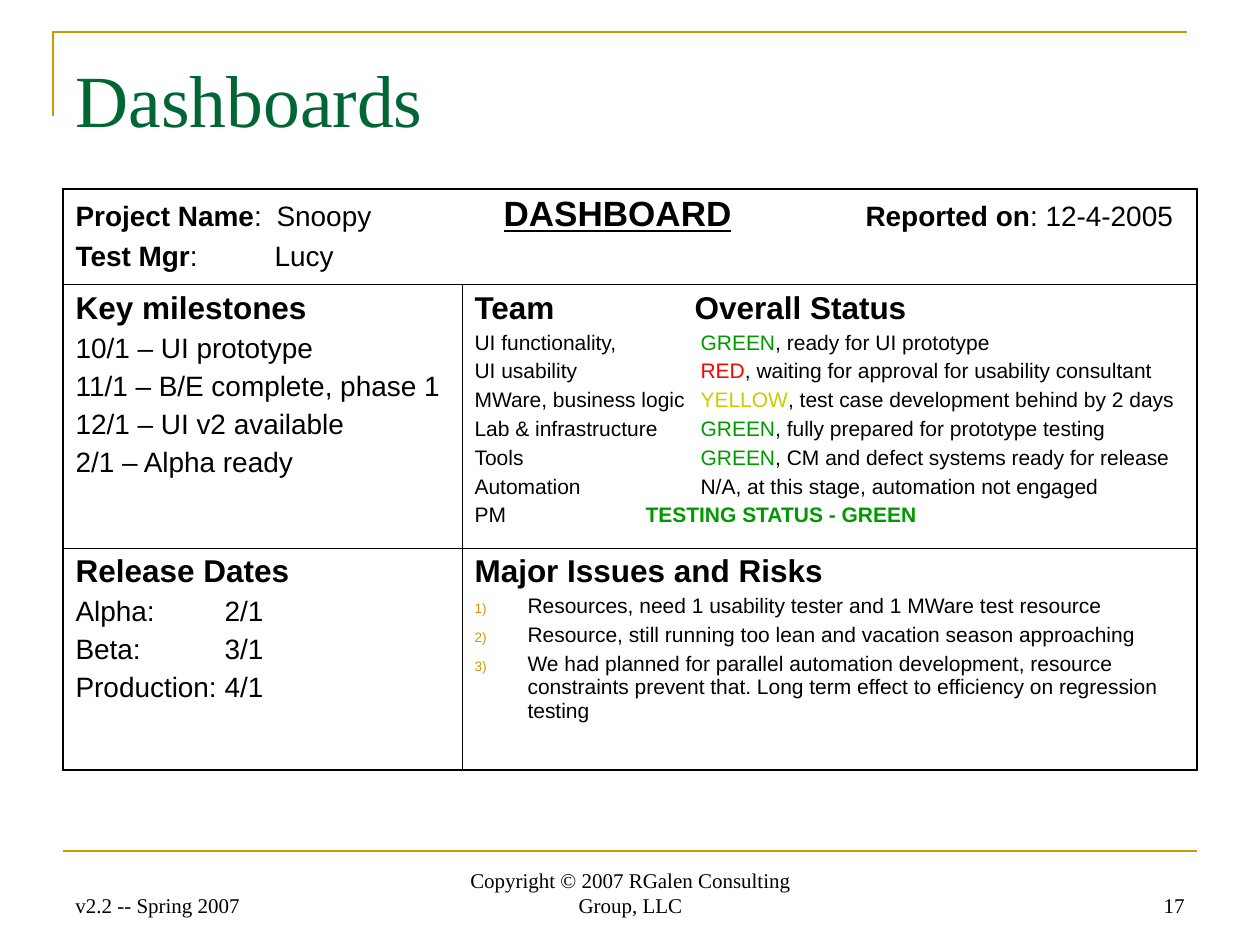
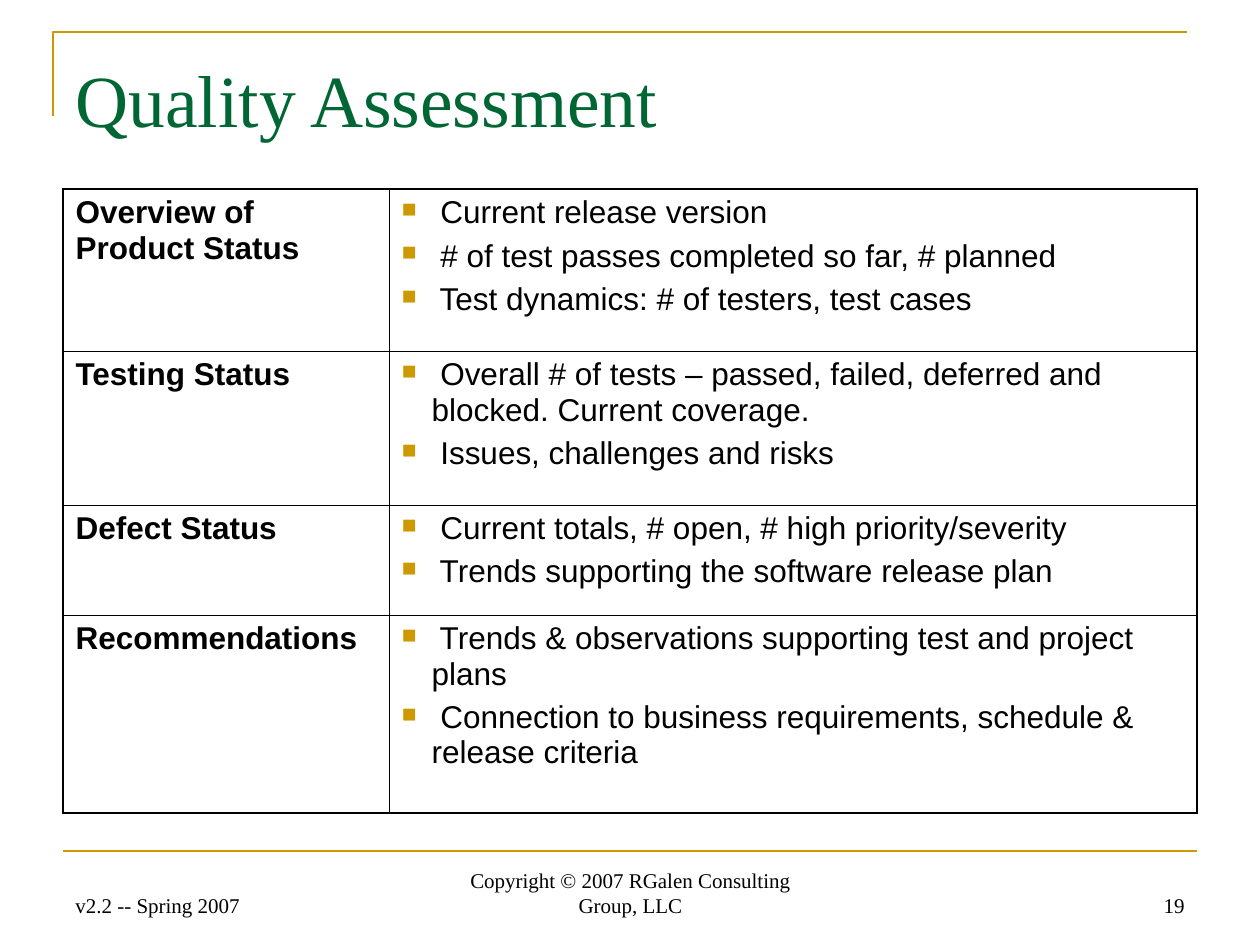
import pptx
import pptx.util
import pptx.dml.color
import pptx.enum.shapes
import pptx.enum.text
import pptx.oxml.ns
import lxml.etree

SCALE = 914400 / 126
HUES = {"gold": "CC9900", "title": "006633", "black": "000000",
        "green": "009900", "red": "FF0000", "yellow": "CCCC00"}
SANS, SERIF = "Arial", "Times New Roman"
ALIGN = pptx.enum.text.PP_ALIGN
ANCHOR = pptx.enum.text.MSO_ANCHOR
THICK, THIN = 1.08, 0.45
SQUARE = ("buChar", {"char": "■"}, 30)
NUMBER = ("buAutoNum", {"type": "arabicParenR"}, 53)
GRID = (63, 189)


def px(*sizes):
    return [pptx.util.Emu(round(size * SCALE)) for size in sizes]


def hue(name):
    return pptx.dml.color.RGBColor.from_string(HUES[name])


def node(parent, tag, **attrs):
    return lxml.etree.SubElement(parent, pptx.oxml.ns.qn("a:" + tag), attrs)


def style(font, face, size, color, bold=False):
    font.name, font.size, font.bold = face, pptx.util.Pt(size), bold
    font.color.rgb = hue(color)


def write(frame, runs, size, bold=False, tabs=(), mark=None):
    first = not frame.paragraphs[0].runs
    para = frame.paragraphs[0] if first else frame.add_paragraph()
    props = para._p.get_or_add_pPr()
    if mark:
        tag, attrs, hang = mark
        left = px(hang)[0]
        props.set("marL", str(left))
        props.set("indent", str(-left))
        node(node(props, "buClr"), "srgbClr", val=HUES["gold"])
        node(props, "buSzPct", val="65000")
        node(props, tag, **attrs)
    if tabs:
        stops = node(props, "tabLst")
        for stop in px(*tabs):
            node(stops, "tab", pos=str(stop), algn="l")
    if not first:
        para.space_before = pptx.util.Pt(size / 4)
    style(para.font, SANS, size, "black", bold)
    for text, look in [(runs, {})] if isinstance(runs, str) else runs:
        run = para.add_run()
        run.text = text
        for key, value in look.items():
            if key == "color":
                run.font.color.rgb = hue(value)
            else:
                setattr(run.font, key, value)


def edge(cell, row, col, rows, cols):
    props = cell._tc.get_or_add_tcPr()
    sides = {"lnL": col == 0, "lnR": col + cell.span_width >= cols,
             "lnT": row == 0, "lnB": row == rows - 1}
    for tag, outer in sides.items():
        width = pptx.util.Pt(THICK if outer else THIN)
        line = node(props, tag, w=str(width))
        node(node(line, "solidFill"), "srgbClr", val=HUES["black"])


def grid(slide, box, cols, rows, span=False):
    left, top = box
    place = px(left, top, sum(cols), sum(rows))
    table = slide.shapes.add_table(len(rows), len(cols), *place).table
    table.first_row = table.horz_banding = False
    for part, width in zip(table.columns, px(*cols)):
        part.width = width
    for part, height in zip(table.rows, px(*rows)):
        part.height = height
    if span:
        table.cell(0, 0).merge(table.cell(0, len(cols) - 1))
    for row in range(len(rows)):
        for col in range(len(cols)):
            cell = table.cell(row, col)
            edge(cell, row, col, len(rows), len(cols))
            cell.fill.background()
    return table


def stroke(shape):
    shape.line.color.rgb = hue("gold")
    shape.line.width = pptx.util.Pt(1.5)


def border(slide):
    build = slide.shapes.build_freeform(53, 116, SCALE)
    build.add_line_segments([(53, 32), (1187, 32)], close=False)
    corner = build.convert_to_shape()
    corner.fill.background()
    corner.shadow.inherit = False
    stroke(corner)
    rule = slide.shapes.add_connector(
        pptx.enum.shapes.MSO_CONNECTOR.STRAIGHT, *px(63, 851, 1197, 851))
    node(rule._element.spPr, "effectLst")
    stroke(rule)


def footer(slide, page):
    parts = [("Copyright © 2007 RGalen Consulting Group, LLC", 431, 399, ALIGN.CENTER),
             (page, 903, 294, ALIGN.RIGHT),
             ("v2.2 -- Spring 2007", 63, 294, ALIGN.LEFT)]
    for text, left, width, side in parts:
        frame = slide.shapes.add_textbox(*px(left, 861, width, 63)).text_frame
        frame.word_wrap = True
        frame.vertical_anchor = ANCHOR.BOTTOM
        frame.text = text
        para = frame.paragraphs[0]
        para.alignment = side
        style(para.font, SERIF, 12, "black")


def base(deck, title, page):
    slide = deck.slides.add_slide(deck.slide_layouts[5])
    border(slide)
    head = slide.shapes.title
    head.left, head.top, head.width, head.height = px(63, 38, 1134, 157)
    frame = head.text_frame
    frame.text = title
    frame.auto_size = pptx.enum.text.MSO_AUTO_SIZE.NONE
    frame.vertical_anchor = ANCHOR.TOP
    frame.margin_top = px(16)[0]
    para = frame.paragraphs[0]
    para.alignment = ALIGN.LEFT
    style(para.font, SERIF, 42, "title")
    footer(slide, page)
    return slide


def banner(frame):
    bold = {"bold": True}
    big = {"bold": True, "underline": True, "size": pptx.util.Pt(20)}
    write(frame, [("Project Name", bold), (":\tSnoopy\t", {}), ("DASHBOARD", big),
                  ("\t", {}), ("Reported on", bold), (": 12-4-2005", {})],
          16, tabs=(201, 428, 790))
    write(frame, [("Test Mgr", bold), (":\tLucy", {})], 16, tabs=(199,))


def notes(frame, title, lines, tabs=()):
    write(frame, title, 18, bold=True)
    for line in lines:
        write(frame, line, 16, tabs=tabs)


def teams(frame):
    write(frame, "Team\tOverall Status", 18, bold=True, tabs=(220,))
    states = [("UI functionality,", "green", ", ready for UI prototype"),
              ("UI usability", "red", ", waiting for approval for usability consultant"),
              ("MWare, business logic", "yellow", ", test case development behind by 2 days"),
              ("Lab & infrastructure", "green", ", fully prepared for prototype testing"),
              ("Tools", "green", ", CM and defect systems ready for release")]
    for team, state, remark in states:
        write(frame, [(team + "\t", {}), (state.upper(), {"color": state}), (remark, {})],
              12, tabs=(226,))
    write(frame, "Automation\tN/A, at this stage, automation not engaged", 12, tabs=(226,))
    write(frame, [("PM\t", {}), ("TESTING STATUS - GREEN", {"color": "green", "bold": True})],
          12, tabs=(171,))


def risks(frame):
    write(frame, "Major Issues and Risks", 18, bold=True)
    for risk in ["Resources, need 1 usability tester and 1 MWare test resource",
                 "Resource, still running too lean and vacation season approaching",
                 "We had planned for parallel automation development, resource constraints "
                 "prevent that. Long term effect to efficiency on regression testing"]:
        write(frame, risk, 12, mark=NUMBER)


def board(deck):
    slide = base(deck, "Dashboards", "17")
    table = grid(slide, GRID, (399, 735), (95, 261, 222), span=True)
    banner(table.cell(0, 0).text_frame)
    notes(table.cell(1, 0).text_frame, "Key milestones",
          ["10/1 – UI prototype", "11/1 – B/E complete, phase 1",
           "12/1 – UI v2 available", "2/1 – Alpha ready"])
    teams(table.cell(1, 1).text_frame)
    notes(table.cell(2, 0).text_frame, "Release Dates",
          ["Alpha:\t2/1", "Beta:\t3/1", "Production:\t4/1"], tabs=(149,))
    risks(table.cell(2, 1).text_frame)


def review(deck):
    slide = base(deck, "Quality Assessment", "19")
    topics = [
        ("Overview of Product Status", 162,
         ["Current release version", "# of test passes completed so far, # planned",
          "Test dynamics: # of testers, test cases"]),
        ("Testing Status", 154,
         ["Overall # of tests – passed, failed, deferred and blocked. Current coverage.",
          "Issues, challenges and risks"]),
        ("Defect Status", 110,
         ["Current totals, # open, # high priority/severity",
          "Trends supporting the software release plan"]),
        ("Recommendations", 198,
         ["Trends & observations supporting test and project plans",
          "Connection to business requirements, schedule & release criteria"])]
    table = grid(slide, GRID, (326, 808), [height for _, height, _ in topics])
    for row, (topic, _, points) in enumerate(topics):
        write(table.cell(row, 0).text_frame, topic, 18, bold=True)
        for point in points:
            write(table.cell(row, 1).text_frame, " " + point, 18, mark=SQUARE)


def main():
    deck = pptx.Presentation()
    deck.slide_width, deck.slide_height = px(1260, 945)
    board(deck)
    review(deck)
    deck.save("out.pptx")


if __name__ == "__main__":
    main()
